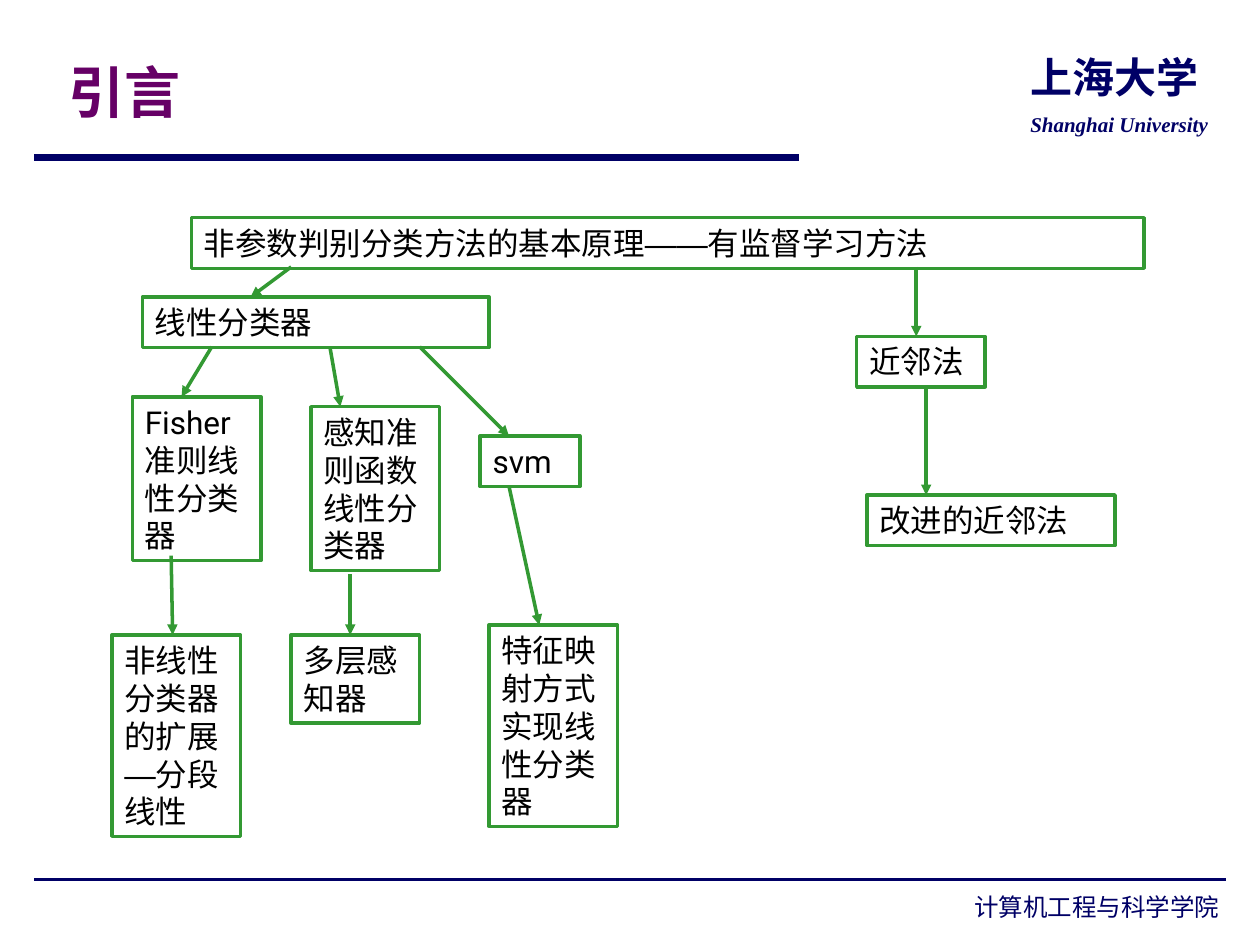
from typing import NamedTuple

from lxml.etree import SubElement
from pptx import Presentation
from pptx.dml.color import RGBColor
from pptx.enum.shapes import MSO_CONNECTOR as Connector
from pptx.enum.shapes import MSO_SHAPE as Preset
from pptx.enum.text import MSO_ANCHOR as Anchor
from pptx.enum.text import MSO_AUTO_SIZE as AutoSize
from pptx.enum.text import PP_ALIGN as Align
from pptx.oxml.ns import qn
from pptx.util import Cm, Pt

COLORS = {"navy": "000066", "purple": "660066", "green": "339933",
          "white": "FFFFFF", "black": "000000"}
ROW = 1.02      # height of a one-line box
COLUMN = 2.59   # width of a narrow box


class Box(NamedTuple):
    """A method in the tree; lengths in centimetres."""
    text: str
    left: float
    top: float
    width: float = COLUMN
    height: float = ROW


class Line(NamedTuple):
    """A straight line between two points, in centimetres."""
    x1: float
    y1: float
    x2: float
    y2: float


class Label(NamedTuple):
    """Free text of the slide frame; lengths in centimetres."""
    text: str
    left: float
    top: float
    width: float
    height: float
    size: int
    typeface: str
    color: str = "navy"
    bold: bool = True
    italic: bool = False
    align: Align = Align.LEFT
    anchor: Anchor = Anchor.TOP
    wrap: bool = True


RULES = [(Line(0.69, 3.17, 16.1, 3.17), 4), (Line(0.69, 17.73, 24.71, 17.73), 2)]

LABELS = [
    Label("计算机工程与科学学院", 16.41, 17.86, 8.43, 0.86, 14, "Noto Sans CJK JP",
          bold=False, align=Align.RIGHT),
    Label("Shanghai University", 20.52, 2.13, 4.09, 0.76, 12, "Times New Roman",
          italic=True, wrap=False),
    Label("上海大学", 20.52, 0.91, 3.89, 1.27, 24, "Noto Sans CJK SC", wrap=False),
    Label("引言", 1.14, 0.71, 21.64, 2.26, 32, "Arial", "purple", anchor=Anchor.MIDDLE),
]

BOXES = [
    Box("非参数判别分类方法的基本原理——有监督学习方法", 3.86, 4.39, 19.2),
    Box("线性分类器", 2.87, 5.99, 6.99),
    Box("Fisher准则线性分类器", 2.67, 8, height=3.3),
    Box("感知准则函数线性分类器", 6.27, 8.2, height=3.3),
    Box("svm", 9.68, 8.79, 2.01),
    Box("非线性分类器的扩展—分段线性", 2.26, 12.8, height=4.06),
    Box("多层感知器", 5.87, 12.8, height=1.78),
    Box("特征映射方式实现线性分类器", 9.86, 12.6, height=4.06),
    Box("近邻法", 17.27, 6.78),
    Box("改进的近邻法", 17.48, 9.98, 5),
]

ARROWS = [
    Line(5.87, 5.38, 5.05, 5.99),
    Line(4.27, 6.99, 3.66, 8),
    Line(6.65, 6.99, 6.86, 8.2),
    Line(8.46, 6.99, 10.26, 8.79),
    Line(3.45, 11.2, 3.48, 12.8),
    Line(7.06, 11.58, 7.06, 12.8),
    Line(10.26, 9.8, 10.87, 12.6),
    Line(18.47, 5.38, 18.47, 6.78),
    Line(18.67, 7.8, 18.67, 9.98),
]


def rgb(name: str) -> RGBColor:
    return RGBColor.from_string(COLORS[name])


def set_typeface(font, name: str) -> None:
    """Use one typeface for both Latin and East Asian characters."""
    font.name = name
    SubElement(font._rPr, qn("a:ea"), typeface=name)


def draw_line(slide, line: Line, color: str, width: float, arrow: bool = False) -> None:
    connector = slide.shapes.add_connector(
        Connector.STRAIGHT, *(Cm(value) for value in line))
    connector.line.color.rgb = rgb(color)
    connector.line.width = Pt(width)
    if arrow:
        SubElement(connector.line._get_or_add_ln(), qn("a:tailEnd"), type="triangle")
    SubElement(connector._element.spPr, qn("a:effectLst"))


def draw_label(slide, label: Label) -> None:
    shape = slide.shapes.add_textbox(*(Cm(value) for value in label[1:5]))
    frame = shape.text_frame
    frame.word_wrap = label.wrap
    frame.vertical_anchor = label.anchor
    paragraph = frame.paragraphs[0]
    paragraph.text = label.text
    paragraph.alignment = label.align
    font = paragraph.font
    font.size, font.bold, font.italic = Pt(label.size), label.bold, label.italic
    font.color.rgb = rgb(label.color)
    set_typeface(font, label.typeface)


def draw_box(slide, box: Box) -> None:
    shape = slide.shapes.add_shape(Preset.RECTANGLE, *(Cm(value) for value in box[1:]))
    shape.shadow.inherit = False
    shape.fill.solid()
    shape.fill.fore_color.rgb = rgb("white")
    shape.line.color.rgb = rgb("green")
    shape.line.width = Pt(2)
    frame = shape.text_frame
    frame.word_wrap = True
    frame.auto_size = AutoSize.SHAPE_TO_FIT_TEXT
    frame.vertical_anchor = Anchor.TOP
    paragraph = frame.paragraphs[0]
    paragraph.alignment = Align.LEFT
    paragraph.font.size = Pt(18)
    paragraph.font.color.rgb = rgb("black")
    # Dashes are set in Arial, the words around them in Roboto
    before, dash, after = box.text.partition("——" if "——" in box.text else "—")
    for text, typeface in ((before, "Roboto"), (dash, "Arial"), (after, "Roboto")):
        if text:
            run = paragraph.add_run()
            run.text = text
            set_typeface(run.font, typeface)


def main() -> None:
    presentation = Presentation()
    presentation.slide_width, presentation.slide_height = Cm(25.4), Cm(19.05)
    slide = presentation.slides.add_slide(presentation.slide_layouts[6])

    # Frame: rules, school names and title
    for rule, width in RULES:
        draw_line(slide, rule, "navy", width)
    for label in LABELS:
        draw_label(slide, label)

    # Tree of classification methods
    for box in BOXES:
        draw_box(slide, box)
    for arrow in ARROWS:
        draw_line(slide, arrow, "green", 2, arrow=True)

    presentation.save("out.pptx")


if __name__ == "__main__":
    main()
